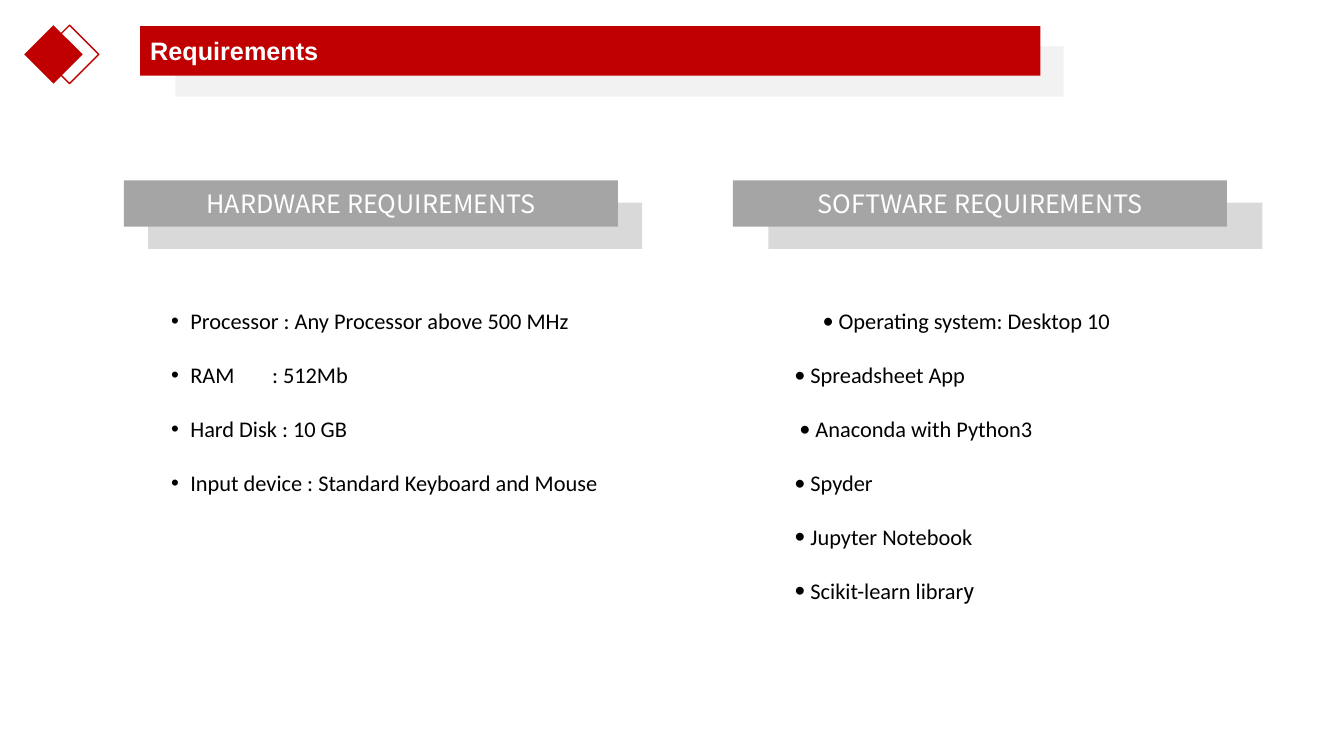
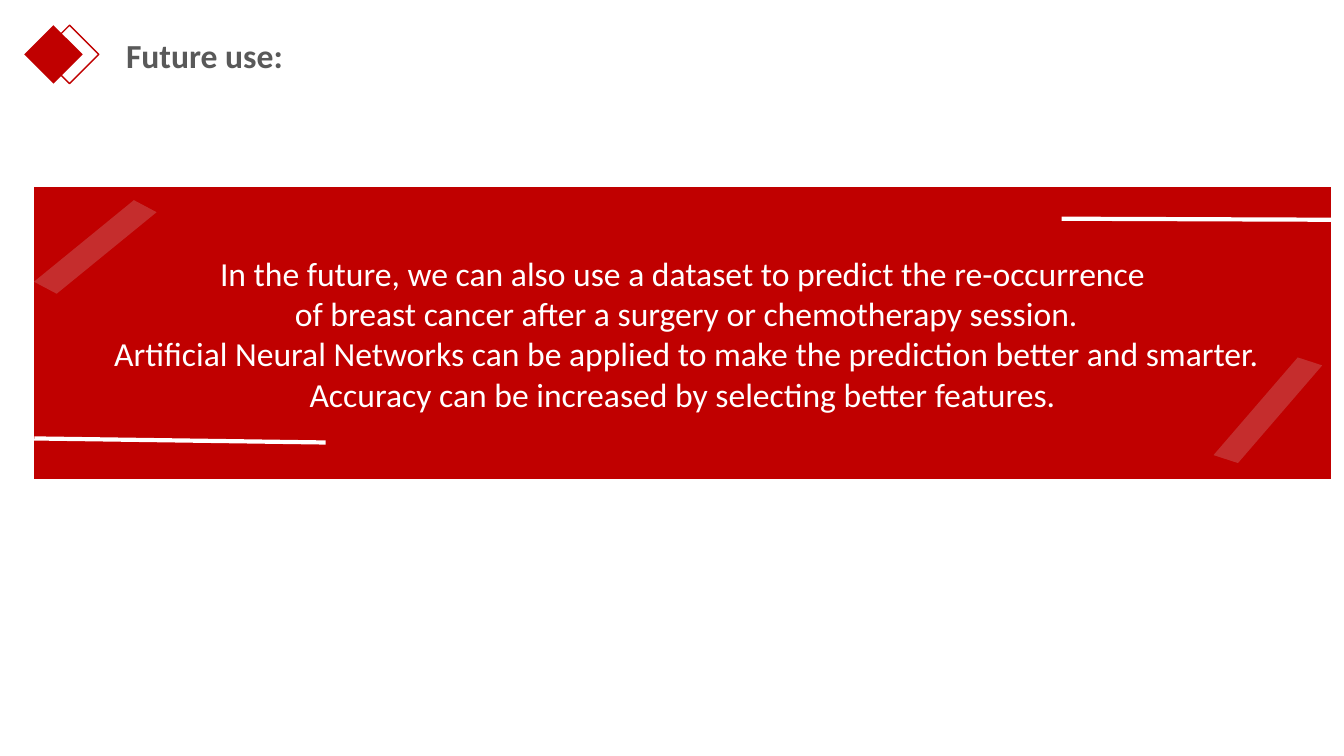
from dataclasses import dataclass

from lxml.etree import SubElement
from pptx import Presentation
from pptx.dml.color import RGBColor
from pptx.enum.shapes import MSO_CONNECTOR, MSO_SHAPE
from pptx.enum.text import MSO_ANCHOR, MSO_AUTO_SIZE, PP_ALIGN
from pptx.oxml.ns import qn
from pptx.util import Inches, Pt


@dataclass(frozen=True)
class Theme:
    red: str = "C00000"
    white: str = "FFFFFF"
    black: str = "000000"
    title_grey: str = "595959"
    header_grey: str = "A5A5A5"
    shadow_grey: str = "D9D9D9"
    pale_grey: str = "F2F2F2"
    title_font: str = "Arial"
    header_font: str = "Noto Sans CJK TC"
    body_font: str = "Calibri"
    accent_font: str = "Roboto"
    header_size: int = 18
    list_size: int = 16
    large_size: int = 24
    list_gap: float = 19.3


T = Theme()


def rgb(color):
    return RGBColor.from_string(color)


# Text helpers
def format_runs(p, font, size, color, bold=False):
    for r in p.runs:
        r.font.name = font
        r.font.size = Pt(size)
        r.font.bold = bold
        r.font.color.rgb = rgb(color)


def write_lines(shape, lines, font, size, color, align=PP_ALIGN.LEFT, bold=False):
    tf = shape.text_frame
    tf.word_wrap = True
    tf.auto_size = MSO_AUTO_SIZE.NONE
    tf.vertical_anchor = MSO_ANCHOR.MIDDLE
    tf.text = "\n".join(lines)
    for p in tf.paragraphs:
        p.alignment = align
        format_runs(p, font, size, color, bold)


def add_bullet(p, left, hanging, font):
    pPr = p._p.get_or_add_pPr()
    pPr.set("marL", str(Inches(left + hanging)))
    pPr.set("indent", str(-Inches(hanging)))
    SubElement(pPr, qn("a:buFont")).set("typeface", font)
    SubElement(pPr, qn("a:buChar")).set("char", "•")


# Shape helpers
def add_block(s, kind, box, fill=None, line=None):
    shape = s.shapes.add_shape(kind, *map(Inches, box))
    shape.shadow.inherit = False
    if fill:
        shape.fill.solid()
        shape.fill.fore_color.rgb = rgb(fill)
    else:
        shape.fill.background()
    if line:
        shape.line.color.rgb = rgb(line)
        shape.line.width = Pt(1)
    else:
        shape.line.fill.background()
    return shape


def add_stripe(s, left, top, rotation):
    stripe = add_block(s, MSO_SHAPE.PARALLELOGRAM, (left, top, 0.75, 1.18), T.shadow_grey)
    stripe.adjustments[0] = 0.66
    stripe.rotation = rotation
    color = stripe.fill._xPr.find(qn("a:solidFill"))[0]
    SubElement(color, qn("a:alpha")).set("val", "21000")


def add_rule(s, start, end):
    rule = s.shapes.add_connector(MSO_CONNECTOR.STRAIGHT, *map(Inches, start + end))
    rule.line.color.rgb = rgb(T.white)
    rule.line.width = Pt(3)
    SubElement(rule.element.spPr, qn("a:effectLst"))


def add_header(s, text, left, shadow_shift):
    top, width, height = 1.79, 4.9, 0.46
    add_block(s, MSO_SHAPE.RECTANGLE, (left + shadow_shift, top + 0.22, width, height),
              T.shadow_grey)
    header = add_block(s, MSO_SHAPE.RECTANGLE, (left, top, width, height), T.header_grey)
    write_lines(header, [text], T.header_font, T.header_size, T.white, PP_ALIGN.CENTER)


def add_list(s, box, items, hanging, bullet_font):
    """Each item is a pair: text and extra left indent."""
    tf = s.shapes.add_textbox(*map(Inches, box)).text_frame
    tf.word_wrap = True
    tf.text = "\n".join(text for text, _ in items)
    for i, (p, (_, left)) in enumerate(zip(tf.paragraphs, items)):
        if i:
            p.space_before = Pt(T.list_gap)
        add_bullet(p, left, hanging, bullet_font)
        format_runs(p, T.body_font, T.list_size, T.black)
    return tf


# Slide frame shared by both slides
def add_titled_slide(prs, title, box, font, size, color):
    s = prs.slides.add_slide(prs.slide_layouts[5])
    sp = s.shapes.title
    sp.left, sp.top, sp.width, sp.height = map(Inches, box)
    write_lines(sp, [title], font, size, color, bold=True)
    add_block(s, MSO_SHAPE.DIAMOND, (0.24, 0.25, 0.58, 0.58), fill=T.red)
    add_block(s, MSO_SHAPE.DIAMOND, (0.4, 0.25, 0.58, 0.58), line=T.red)
    return s


def build_requirements(prs):
    s = add_titled_slide(prs, "Requirements", (1.39, 0.26, 8.93, 0.49),
                         T.title_font, T.header_size, T.white)
    # Title band, with its shadow behind it
    title = s.shapes.title
    title.fill.solid()
    title.fill.fore_color.rgb = rgb(T.red)
    shadow = add_block(s, MSO_SHAPE.RECTANGLE, (1.74, 0.46, 8.81, 0.5), T.pale_grey)
    title.element.addprevious(shadow.element)

    # Two columns
    add_header(s, "HARDWARE REQUIREMENTS", 1.23, 0.24)
    add_header(s, "SOFTWARE REQUIREMENTS", 7.27, 0.35)
    add_list(s, (1.6, 3, 5.56, 1.98), [
        ("Processor : Any Processor above 500 MHz", 0),
        ("RAM\t: 512Mb", 0),
        ("Hard Disk : 10 GB", 0),
        ("Input device : Standard Keyboard and Mouse", 0),
    ], 0.19, T.title_font)
    software = add_list(s, (7.78, 3, 5.55, 3.06), [
        ("Operating system: Desktop 10", 0.28),
        ("Spreadsheet App", 0),
        ("Anaconda with Python3", 0.05),
        ("Spyder", 0),
        ("Jupyter Notebook", 0),
        ("Scikit-learn librar", 0),
    ], 0.16, T.body_font)
    last = software.paragraphs[-1]
    last.add_run().text = "y"
    format_runs(last, T.body_font, T.list_size, T.black)
    last.runs[-1].font.name = T.accent_font


def build_future_use(prs):
    s = add_titled_slide(prs, "Future use:", (1.15, 0.32, 8.67, 0.45),
                         T.body_font, T.large_size, T.title_grey)
    # Statement panel
    panel = add_block(s, MSO_SHAPE.FLOWCHART_PROCESS, (0.34, 1.86, 12.86, 2.89), T.red)
    panel.text_frame.margin_left = panel.text_frame.margin_right = Inches(0.2)
    write_lines(panel, [
        "In the future, we can also use a dataset to predict the re-occurrence",
        " of breast cancer after a surgery or chemotherapy session.",
        " Artificial Neural Networks can be applied to make the prediction better and smarter. "
        "Accuracy can be increased by selecting better features.",
    ], T.body_font, T.large_size, T.white, PP_ALIGN.CENTER)

    # Corner decoration
    add_stripe(s, 12.2, 3.48, 18)
    add_stripe(s, 0.57, 1.86, 28)
    add_rule(s, (0.34, 4.35), (3.23, 4.39))
    add_rule(s, (10.53, 2.17), (13.2, 2.18))


def main():
    prs = Presentation()
    prs.slide_width, prs.slide_height = Inches(13.33), Inches(7.5)
    build_requirements(prs)
    build_future_use(prs)
    prs.save("out.pptx")


if __name__ == "__main__":
    main()
